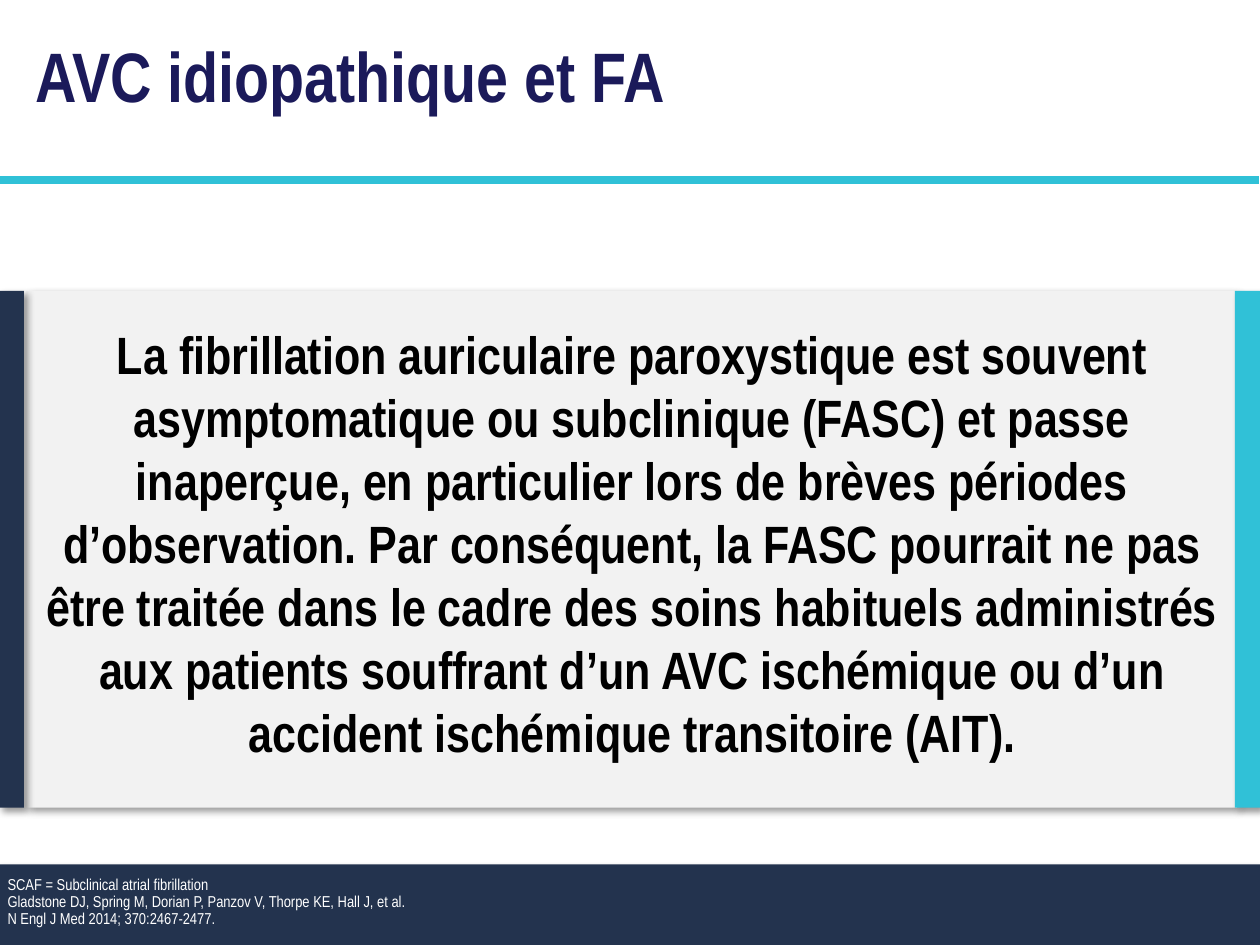
"""Build a slide on cryptogenic stroke and atrial fibrillation."""
import pptx
import pptx.dml.color
import pptx.enum.shapes
import pptx.enum.text
import pptx.oxml
import pptx.oxml.ns
import pptx.util
from pptx.util import Inches

COLORS = {
    "navy": "23334E",
    "cyan": "30C1D7",
    "title": "1B1A5A",
    "panel": "F2F2F2",
    "black": "000000",
    "white": "FFFFFF",
}
FONT = "Arial Narrow"
ALIGN = pptx.enum.text.PP_ALIGN
ANCHOR = pptx.enum.text.MSO_ANCHOR
FOOTER_SHADOW = {"alpha": 35, "blur": 3.1, "dist": 1.8, "angle": 90}
PANEL_SHADOW = {"alpha": 40, "blur": 4, "dist": 3, "angle": 45}
PANEL_TOP, PANEL_HEIGHT = 2.31, 4.1

TITLE = "AVC idiopathique et FA"
STATEMENT = (
    "La fibrillation auriculaire paroxystique est souvent asymptomatique ou "
    "subclinique (FASC) et passe inaperçue, en particulier lors de brèves "
    "périodes d’observation. Par conséquent, la FASC pourrait ne pas être "
    "traitée dans le cadre des soins habituels administrés aux patients "
    "souffrant d’un AVC ischémique ou d’un accident ischémique transitoire (AIT)."
)
REFERENCES = [
    "SCAF = Subclinical atrial fibrillation",
    "Gladstone DJ, Spring M, Dorian P, Panzov V, Thorpe KE, Hall J, et al.",
    "N Engl J Med 2014; 370:2467-2477.",
]


def rgb(name):
    """Return the named palette colour."""
    return pptx.dml.color.RGBColor.from_string(COLORS[name])


def add_shadow(block, alpha, blur, dist, angle):
    """Give a block a soft black outer shadow."""
    block.shadow.inherit = False
    effects = block._element.spPr.find(pptx.oxml.ns.qn("a:effectLst"))
    effects.append(pptx.oxml.parse_xml(
        f'<a:outerShdw {pptx.oxml.ns.nsdecls("a")} blurRad="{pptx.util.Pt(blur)}" '
        f'dist="{pptx.util.Pt(dist)}" dir="{angle * 60000}" algn="t" rotWithShape="0">'
        f'<a:srgbClr val="{COLORS["black"]}"><a:alpha val="{alpha * 1000}"/></a:srgbClr>'
        "</a:outerShdw>"
    ))


def add_block(slide, bounds, color, shadow):
    """Add a borderless filled rectangle with a shadow."""
    block = slide.shapes.add_shape(
        pptx.enum.shapes.MSO_SHAPE.RECTANGLE, *map(Inches, bounds))
    block.fill.solid()
    block.fill.fore_color.rgb = rgb(color)
    block.line.fill.background()
    add_shadow(block, **shadow)


def add_rule(slide, left, right, y, color, weight):
    """Add a horizontal rule."""
    rule = slide.shapes.add_connector(
        pptx.enum.shapes.MSO_CONNECTOR.STRAIGHT,
        Inches(left), Inches(y), Inches(right), Inches(y))
    rule.line.color.rgb = rgb(color)
    rule.line.width = pptx.util.Pt(weight)
    rule._element.spPr.append(pptx.oxml.parse_xml(
        f'<a:effectLst {pptx.oxml.ns.nsdecls("a")}/>'))


def add_text(slide, bounds, lines, size, color, bold=False, frame=None, layout=None):
    """Add a wrapped text box with one paragraph per line."""
    text = slide.shapes.add_textbox(*map(Inches, bounds)).text_frame
    for key, value in {"word_wrap": True, **(frame or {})}.items():
        setattr(text, key, value)
    font_format = {"name": FONT, "size": pptx.util.Pt(size), "bold": bold}
    for index, line in enumerate(lines):
        paragraph = text.add_paragraph() if index else text.paragraphs[0]
        for key, value in (layout or {}).items():
            setattr(paragraph, key, value)
        run = paragraph.add_run()
        run.text = line
        for key, value in font_format.items():
            setattr(run.font, key, value)
        run.font.color.rgb = rgb(color)


def main():
    """Assemble and save the slide."""
    deck = pptx.Presentation()
    deck.slide_width, deck.slide_height = Inches(10), Inches(7.5)
    slide = deck.slides.add_slide(deck.slide_layouts[6])

    add_block(slide, (0, 6.86, 10, 0.64), "navy", FOOTER_SHADOW)
    add_rule(slide, -0.01, 9.99, 1.43, "cyan", 4.5)
    add_text(slide, (0.18, 0.21, 6.73, 1.45), [TITLE], 40, "title", bold=True)
    no_margins = dict.fromkeys(
        ("margin_left", "margin_top", "margin_right", "margin_bottom"), 0)
    add_text(slide, (0.06, 6.94, 8.31, 0.44), REFERENCES, 9, "white",
             frame={"vertical_anchor": ANCHOR.MIDDLE, **no_margins},
             layout={"line_spacing": 0.9})

    for left, width, color in (
            (0.21, 9.61, "panel"), (-0.01, 0.2, "navy"), (9.8, 0.2, "cyan")):
        add_block(slide, (left, PANEL_TOP, width, PANEL_HEIGHT), color, PANEL_SHADOW)
    add_text(slide, (0.19, 2.51, 9.66, 3.64), [STATEMENT], 30, "black", bold=True,
             layout={"alignment": ALIGN.CENTER})

    deck.save("out.pptx")


if __name__ == "__main__":
    main()
